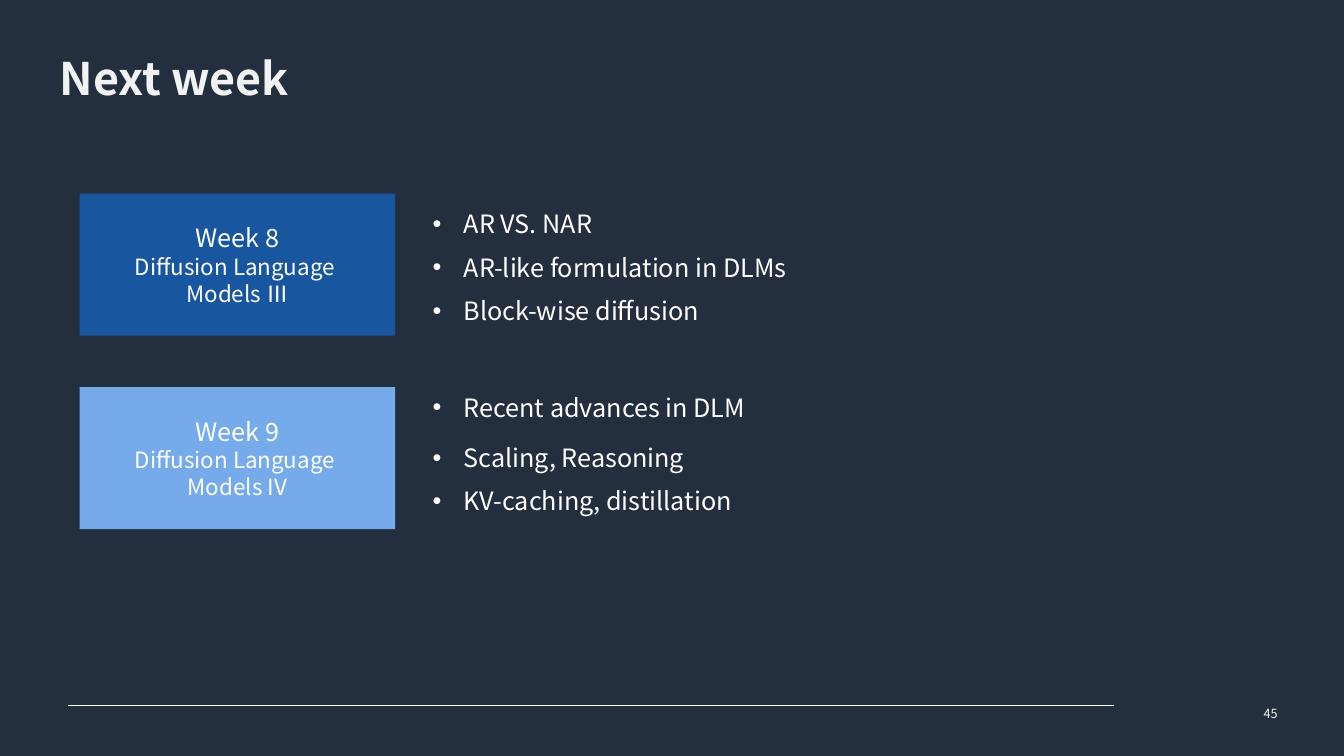
from lxml import etree
from pptx import Presentation
from pptx.dml.color import RGBColor
from pptx.enum.shapes import MSO_CONNECTOR, MSO_SHAPE
from pptx.enum.text import MSO_ANCHOR, PP_ALIGN
from pptx.oxml.ns import qn
from pptx.util import Inches, Pt

STRAIGHT, RECTANGLE = MSO_CONNECTOR.STRAIGHT, MSO_SHAPE.RECTANGLE
TOP, MIDDLE = MSO_ANCHOR.TOP, MSO_ANCHOR.MIDDLE
LEFT, CENTER, RIGHT = PP_ALIGN.LEFT, PP_ALIGN.CENTER, PP_ALIGN.RIGHT

FONT = "Noto Sans CJK KR"
BACKGROUND, WHITE, PALE = "232F3E", "FFFFFF", "F1F3F3"
BULLET_INDENT = 0.31

# Each week: top, fill, card lines, topics, tops of the topics below the card top
WEEKS = [
    (1.92, "1857A0", ["Week 8", "Diffusion Language ", "Models Ⅲ"],
     ["AR VS. NAR", "AR-like formulation in DLMs", "Block-wise diffusion"],
     [0.1, 0.53, 0.96]),
    (3.84, "75ABEA", ["Week 9", "Diffusion Language ", "Models IV"],
     ["Recent advances in DLM", "Scaling, Reasoning", "KV-caching, distillation"],
     [0, 0.5, 0.93]),
]


def color(hex_string):
    return RGBColor.from_string(hex_string)


def set_frame(frame, anchor=TOP, side_margin=0.0):
    formats = {
        "word_wrap": True,
        "vertical_anchor": anchor,
        "margin_left": Inches(side_margin),
        "margin_right": Inches(side_margin),
        "margin_top": Inches(0.05),
        "margin_bottom": Inches(0.05),
    }
    for name, value in formats.items():
        setattr(frame, name, value)


def write(paragraph, text, size, font_color=WHITE, align=LEFT, bold=False):
    paragraph.alignment = align
    run = paragraph.add_run()
    run.text = text
    for name, value in {"name": FONT, "size": Pt(size), "bold": bold}.items():
        setattr(run.font, name, value)
    run.font.color.rgb = color(font_color)


def add_text(slide, left, top, width, height, anchor=TOP, side_margin=0.0):
    box = slide.shapes.add_textbox(*map(Inches, (left, top, width, height)))
    set_frame(box.text_frame, anchor, side_margin)
    return box.text_frame.paragraphs[0]


def add_bullet(paragraph):
    properties = paragraph._p.get_or_add_pPr()
    properties.set("marL", str(Inches(BULLET_INDENT)))
    properties.set("indent", str(-Inches(BULLET_INDENT)))
    etree.SubElement(properties, qn("a:buFont")).set("typeface", "Arial")
    etree.SubElement(properties, qn("a:buChar")).set("char", "•")


def add_title(slide, left, top, width, height):
    paragraph = add_text(slide, left, top, width, height)
    paragraph.line_spacing = 0.9
    write(paragraph, "Next week", 32, PALE, bold=True)


def add_week(slide, left, top, width, height, fill, lines, topics, offsets):
    # Card with the week and its subject
    card = slide.shapes.add_shape(RECTANGLE, *map(Inches, (left, top, width, height)))
    card.shadow.inherit = False
    card.fill.solid()
    card.fill.fore_color.rgb = color(fill)
    card.line.fill.background()
    frame = card.text_frame
    set_frame(frame, MIDDLE, 0.05)
    for index, line in enumerate(lines):
        paragraph = frame.add_paragraph() if index else frame.paragraphs[0]
        write(paragraph, line, 16 if index else 18, align=CENTER)

    # Topics beside the card
    for topic, offset in zip(topics, offsets):
        paragraph = add_text(slide, left + width + 0.37, top + offset, 8.67, 0.4)
        add_bullet(paragraph)
        write(paragraph, topic, 18)


def add_footer(slide, left, top, width):
    rule = slide.shapes.add_connector(
        STRAIGHT, Inches(left), Inches(top), Inches(left + width), Inches(top))
    rule.line.color.rgb = color(WHITE)
    rule.line.width = Pt(0.5)
    etree.SubElement(rule._element.spPr, qn("a:effectLst"))
    number = add_text(slide, left + 9.1, top - 0.12, 3, 0.4, MIDDLE, 0.1)
    write(number, "45", 9, PALE, RIGHT)


def main():
    presentation = Presentation()
    presentation.slide_width = Inches(13.33)
    presentation.slide_height = Inches(7.5)
    slide = presentation.slides.add_slide(presentation.slide_layouts[6])
    slide.background.fill.solid()
    slide.background.fill.fore_color.rgb = color(BACKGROUND)

    add_footer(slide, 0.67, 7, 10.38)
    add_title(slide, 0.59, 0.51, 12, 0.59)
    for top, fill, lines, topics, offsets in WEEKS:
        add_week(slide, 0.79, top, 3.13, 1.41, fill, lines, topics, offsets)

    presentation.save("out.pptx")


if __name__ == "__main__":
    main()
